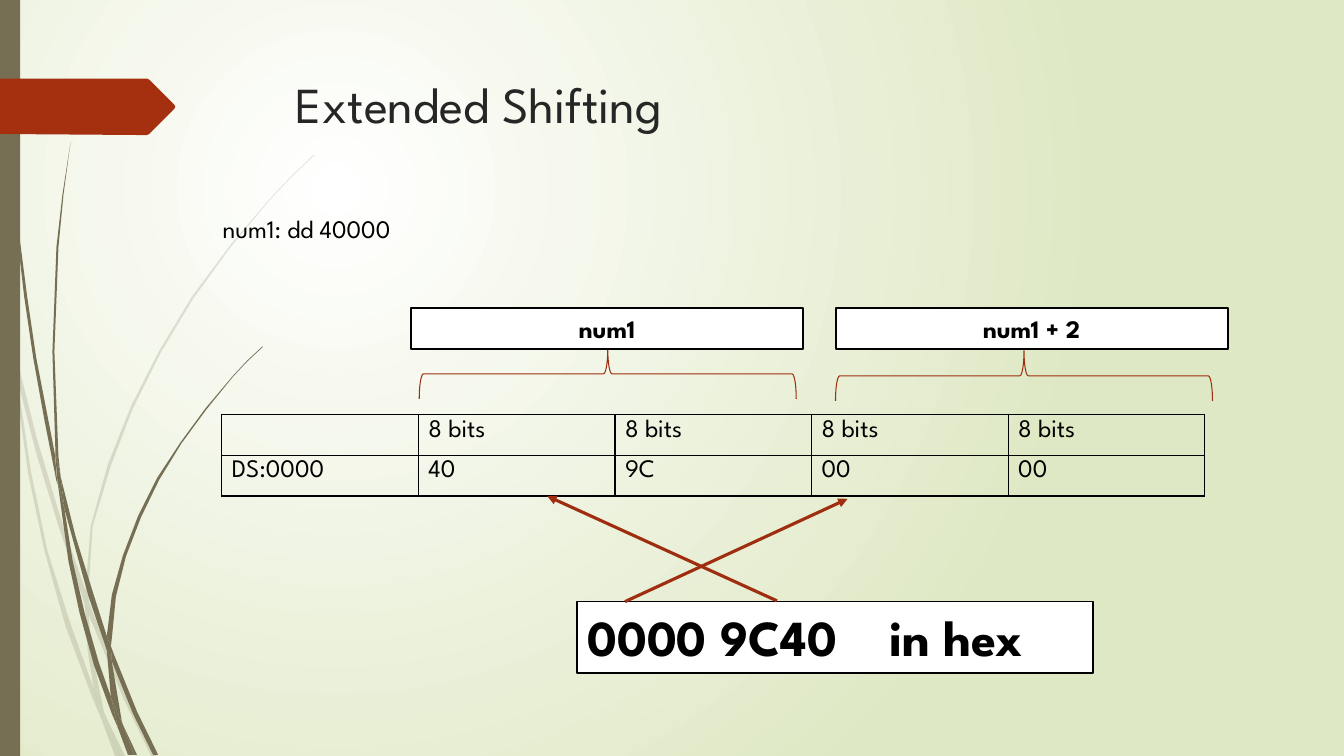
"""Build the Extended Shifting slide with its memory table and byte order arrows."""
from dataclasses import dataclass

from lxml.etree import SubElement
from pptx import Presentation
from pptx.dml.color import RGBColor
from pptx.enum.shapes import MSO_CONNECTOR, MSO_SHAPE
from pptx.enum.text import MSO_ANCHOR, PP_ALIGN
from pptx.oxml.ns import qn
from pptx.util import Cm, Pt

RECT = MSO_SHAPE.RECTANGLE
BRACE = MSO_SHAPE.LEFT_BRACE
LINE = MSO_CONNECTOR.STRAIGHT
TOP = MSO_ANCHOR.TOP
LEFT = PP_ALIGN.LEFT
MID = PP_ALIGN.CENTER
FONT = "League Spartan"
UNIT = Cm(2.54) / 100
COLORS = {
    "white": "FFFFFF", "black": "000000", "title": "262626", "leaf": "DFE8C4",
    "stem": "766F54", "flag": "A53010", "rust": "9E2E0F",
}


@dataclass
class Label:
    """Text with its frame in centimetres."""
    x: float
    y: float
    w: float
    h: float
    text: str
    size: int = 18
    color: str = "black"
    framed: bool = False
    align: PP_ALIGN = LEFT
    wrap: bool = True
    tab: float = 0


@dataclass
class Arrow:
    """Arrow from one point to another in centimetres."""
    x: float
    y: float
    to_x: float
    to_y: float


@dataclass
class Wisp:
    """Outline as x and y pairs in hundredths of an inch."""
    points: str
    color: str = "stem"
    alpha: int = 100


PALE = [
    "11 350 9 322 0 282 0 299 10 344",
    "58 522 84 599 85 586 62 520 36 433 14 345 17 376 36 450",
    "92 607 88 596 88 610 123 694 150 750 155 750 127 692",
    "119 750 124 750 105 711",
    "93 683 70 619 47 546 31 469 17 376 11 350 28 470 44 546 65 621 92 693 101 714 99 707",
    "84 599 87 646 93 683 96 692 105 711 103 706 91 646 88 610 88 608",
    "88 584 92 522 110 462 132 405 160 349 192 296 229 245 268 198 290 175 312 154 "
    "312 153 289 175 268 197 228 244 190 295 158 348 130 403 107 461 90 522 85 584 85 586 88 596",
    "101 714 114 750 119 750",
    "88 608 88 610 88 596 85 586 84 599",
    "96 692 93 683 99 707 101 714 119 750 105 711",
]
DARK = [
    "7 110 17 233 24 294 33 355 44 416 56 477 57 481 55 457 55 453 36 355 27 294 19 232 8 109 "
    "5 48 4 0 3 0 4 48",
    "88 592 106 645 106 633 106 631 93 590 75 532 60 472 64 505",
    "113 649 110 641 111 656 132 708 152 749 157 749 136 706",
    "110 691 98 657 84 608 72 556 64 505 57 477 68 557 79 608 93 659 111 708 117 722 116 717",
    "60 472 58 453 54 349 58 245 63 193 70 141 62 193 56 245 52 349 55 449",
    "133 749 136 749 122 719",
    "57 477 64 505 60 472 55 449 55 453",
    "111 633 115 592 125 552 140 513 158 476 180 440 205 406 231 374 245 359 261 344 "
    "260 344 245 358 231 373 204 405 179 439 156 474 137 512 122 551 111 590 106 631 110 641",
    "117 722 127 749 131 749",
    "106 645 110 691 116 706 122 719 121 716 111 656 109 651",
    "106 645 109 651 111 656 110 641 106 631 106 633",
    "116 706 110 691 116 717 117 722 130 749 133 749 122 719",
]
WISPS = [Wisp(p, alpha=20) for p in PALE] + [Wisp(p) for p in DARK]
FLAG = Wisp("173 108 148 133 146 134 136 134 0 133 0 78 146 78 148 79 173 104 174 106", "flag")

TITLE = Label(7.21, 1.73, 24.77, 3.56, "Extended Shifting", 36, "title")
LABELS = [
    Label(5.36, 5.26, 5.46, 1.02, "num1: dd 40000", wrap=False),
    Label(14.55, 15.16, 13, 1.8, "0000 9C40\tin hex", 36, framed=True, tab=7.62),
    Label(10.36, 7.77, 9.88, 1.02, "num1", framed=True, align=MID),
    Label(21.06, 7.77, 9.88, 1.02, "num1 + 2", framed=True, align=MID),
]
BRACES = [(14.68, 4.67), (25.17, 4.72)]
ROWS = [["", *["8 bits"] * 4], ["DS:0000", "40", "9C", "00", "00"]]
ARROWS = [Arrow(19.58, 15.14, 13.79, 12.5), Arrow(15.75, 15.16, 21.36, 12.57)]


def tint(name: str) -> RGBColor:
    return RGBColor.from_string(COLORS[name])


def paint(shape, color: str, alpha: int = 100) -> None:
    shape.shadow.inherit = False
    shape.line.fill.background()
    shape.fill.solid()
    shape.fill.fore_color.rgb = tint(color)
    if alpha < 100:
        code = shape.element.spPr.find(".//" + qn("a:srgbClr"))
        SubElement(code, qn("a:alpha")).set("val", str(alpha * 1000))


def stroke(line, color: str, width: float) -> None:
    line.color.rgb = tint(color)
    line.width = Pt(width)


def write(para, text: str, size: int, color: str, bold: bool = False) -> None:
    run = para.add_run()
    run.text = text
    run.font.name = FONT
    run.font.size = Pt(size)
    run.font.bold = bold
    run.font.color.rgb = tint(color)


def draw_back(slide) -> None:
    fill = slide.background.fill
    fill.gradient()
    for stop, name in zip(fill.gradient_stops, ("white", "leaf")):
        stop.color.rgb = tint(name)
    grad = slide.element.find(".//" + qn("a:gradFill"))
    grad.remove(grad.find(qn("a:lin")))
    ring = SubElement(grad, qn("a:path"), {"path": "circle"})
    SubElement(ring, qn("a:fillToRect"), {"l": "50000", "t": "50000", "r": "100000", "b": "100000"})


def draw_wisp(slide, wisp: Wisp) -> None:
    nums = [int(n) for n in wisp.points.split()]
    start, *rest = zip(nums[::2], nums[1::2])
    pen = slide.shapes.build_freeform(*start, scale=UNIT)
    pen.add_line_segments(rest, close=True)
    paint(pen.convert_to_shape(), wisp.color, wisp.alpha)


def draw_label(slide, label: Label) -> None:
    spot = [Cm(n) for n in (label.x, label.y, label.w, label.h)]
    if label.framed:
        shape = slide.shapes.add_shape(RECT, *spot)
        paint(shape, "white")
        stroke(shape.line, "black", 1.25)
    else:
        shape = slide.shapes.add_textbox(*spot)
    frame = shape.text_frame
    frame.word_wrap = label.wrap
    frame.vertical_anchor = TOP
    para = frame.paragraphs[0]
    para.alignment = label.align
    if label.tab:
        tabs = SubElement(para._p.get_or_add_pPr(), qn("a:tabLst"))
        SubElement(tabs, qn("a:tab"), {"pos": str(Cm(label.tab)), "algn": "l"})
    write(para, label.text, label.size, label.color, label.framed)


def draw_brace(slide, x: float, y: float) -> None:
    brace = slide.shapes.add_shape(BRACE, Cm(x), Cm(y), Cm(1.27), Cm(9.5))
    brace.rotation = 90
    brace.shadow.inherit = False
    brace.fill.background()
    stroke(brace.line, "rust", 0.75)


def draw_table(slide) -> None:
    spot = Cm(5.59), Cm(10.44), Cm(24.77), Cm(2.06)
    table = slide.shapes.add_table(len(ROWS), len(ROWS[0]), *spot).table
    table.first_row = table.horz_banding = False
    for r, row in enumerate(ROWS):
        for c, text in enumerate(row):
            cell = table.cell(r, c)
            props = cell._tc.get_or_add_tcPr()
            for side in ("lnL", "lnR", "lnT", "lnB"):
                edge = SubElement(props, qn("a:" + side), {"w": str(Pt(1))})
                fill = SubElement(edge, qn("a:solidFill"))
                SubElement(fill, qn("a:srgbClr")).set("val", COLORS["black"])
            cell.fill.background()
            if text:
                write(cell.text_frame.paragraphs[0], text, 18, "black")


def draw_arrow(slide, arrow: Arrow) -> None:
    ends = [Cm(n) for n in (arrow.x, arrow.y, arrow.to_x, arrow.to_y)]
    link = slide.shapes.add_connector(LINE, *ends)
    stroke(link.line, "rust", 2.25)
    props = link.element.spPr
    SubElement(props.find(qn("a:ln")), qn("a:tailEnd")).set("type", "triangle")
    SubElement(props, qn("a:effectLst"))


def main() -> None:
    deck = Presentation()
    deck.slide_width, deck.slide_height = Cm(33.87), Cm(19.05)
    slide = deck.slides.add_slide(deck.slide_layouts[6])
    draw_back(slide)
    for wisp in WISPS:
        draw_wisp(slide, wisp)
    paint(slide.shapes.add_shape(RECT, 0, 0, Cm(0.51), Cm(19.05)), "stem")
    draw_wisp(slide, FLAG)
    draw_label(slide, TITLE)
    draw_table(slide)
    for x, y in BRACES:
        draw_brace(slide, x, y)
    for label in LABELS:
        draw_label(slide, label)
    for arrow in ARROWS:
        draw_arrow(slide, arrow)
    deck.save("out.pptx")


if __name__ == "__main__":
    main()
